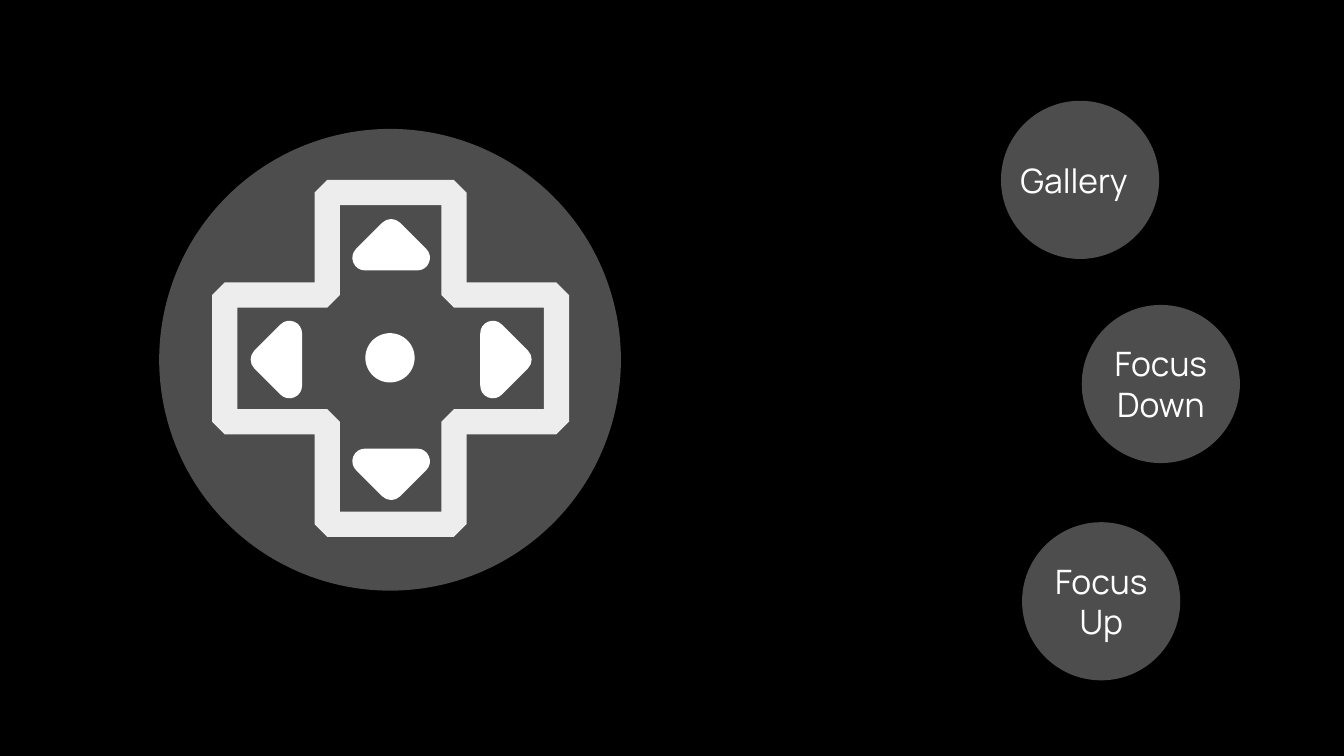
import math
from pptx import Presentation, util as u
from pptx.dml.color import RGBColor
from pptx.enum import shapes, text
from pptx.oxml import ns
from lxml import etree

# Content: label, circle centre, text box size, alignment, wrap
KEYS = [
    ("Gallery", (771.5, 128.5), (99.4, 36), "LEFT", True),
    ("Focus\nUp", (786.6, 429.5), (85, 65.5), "CENTER", False),
    ("Focus\nDown", (829.2, 274.3), (85, 65.5), "CENTER", False),
]
KEY = 113  # key diameter
PAD = {"disc": (278.6, 257), "cross": (279, 256), "dot": (278.6, 255.6), "ring": (279.4, 256.8)}
DISC, CROSS, DOT = 329.8, 236.9, 17.3
ARROW, REACH = (37.4, 18.7), 82  # arrow size, distance from ring centre
TURNS = (0, 90, 270, 180)


class Theme:
    back = RGBColor(0, 0, 0)
    ink = RGBColor(255, 255, 255)
    veil, soft = 30, 90  # opacity in percent
    font, size, line = "Manrope", 24, 18


# Slide
deck = Presentation()
deck.slide_width, deck.slide_height = u.Pt(960), u.Pt(540)
slide = deck.slides.add_slide(deck.slide_layouts[6])
slide.background.fill.solid()
slide.background.fill.fore_color.rgb = Theme.back


def frame(mid, size):
    """Box of a given size around a centre."""
    (x, y), (w, h) = mid, size
    return [u.Pt(v) for v in (x - w / 2, y - h / 2, w, h)]


def fade(node, share):
    """Set the opacity of the first colour below node."""
    tone = node.find(".//" + ns.qn("a:srgbClr"))
    etree.SubElement(tone, ns.qn("a:alpha"), val=str(share * 1000))


def add(kind, mid, size):
    part = slide.shapes.add_shape(kind, *frame(mid, size))
    part.shadow.inherit = False
    return part


def disc(mid, width):
    part = add(shapes.MSO_SHAPE.OVAL, mid, (width, width))
    part.fill.solid()
    part.fill.fore_color.rgb = Theme.ink
    part.line.fill.background()
    fade(part.fill._xPr, Theme.veil)


def trace(kind, mid, size, join="round", share=100):
    part = add(kind, mid, size)
    part.fill.background()
    part.line.color.rgb = Theme.ink
    part.line.width = u.Pt(Theme.line)
    edge = part._element.spPr.find(ns.qn("a:ln"))
    if share < 100:
        fade(edge, share)
    etree.SubElement(edge, ns.qn("a:" + join))
    return part


def label(words, mid, size, align, wrap):
    body = slide.shapes.add_textbox(*frame(mid, size)).text_frame
    body.word_wrap = wrap
    body.auto_size = text.MSO_AUTO_SIZE.SHAPE_TO_FIT_TEXT
    body.text = words
    style = {"name": Theme.font, "size": u.Pt(Theme.size)}
    for para in body.paragraphs:
        para.alignment = getattr(text.PP_ALIGN, align)
        for run in para.runs:
            for name, value in style.items():
                setattr(run.font, name, value)
            run.font.color.rgb = Theme.ink


# Round keys
for words, mid, size, align, wrap in KEYS:
    disc(mid, KEY)
    label(words, mid, size, align, wrap)

# Direction pad
disc(PAD["disc"], DISC)
cross = trace(shapes.MSO_SHAPE.CROSS, PAD["cross"], (CROSS, CROSS), "bevel", Theme.soft)
cross.adjustments[0] = 0.309
trace(shapes.MSO_SHAPE.OVAL, PAD["dot"], (DOT, DOT))

# Arrows around the ring
x, y = PAD["ring"]
for turn in TURNS:
    a = math.radians(turn)
    mid = (x + REACH * math.sin(a), y - REACH * math.cos(a))
    trace(shapes.MSO_SHAPE.ISOSCELES_TRIANGLE, mid, ARROW).rotation = turn

deck.save("out.pptx")
